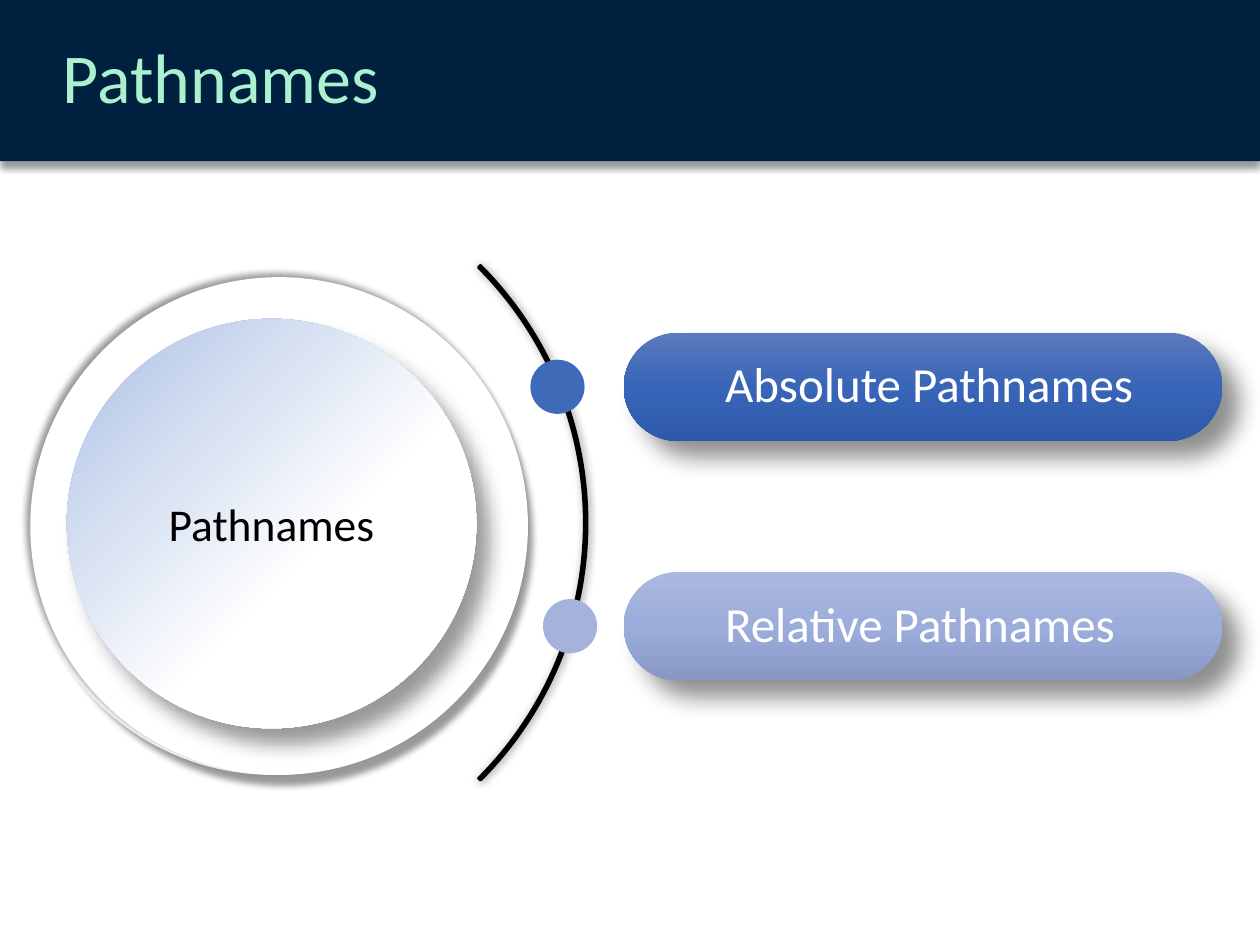
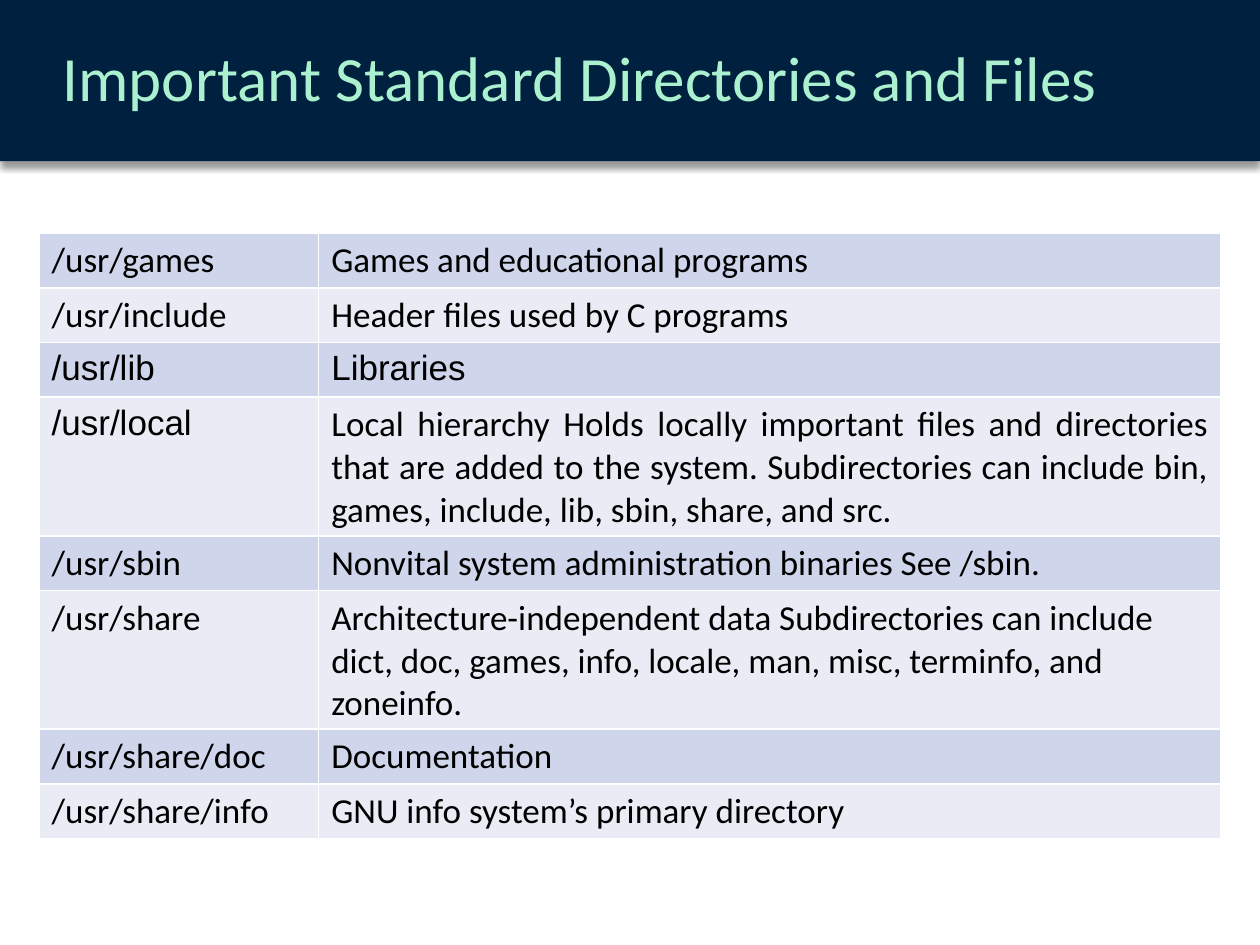
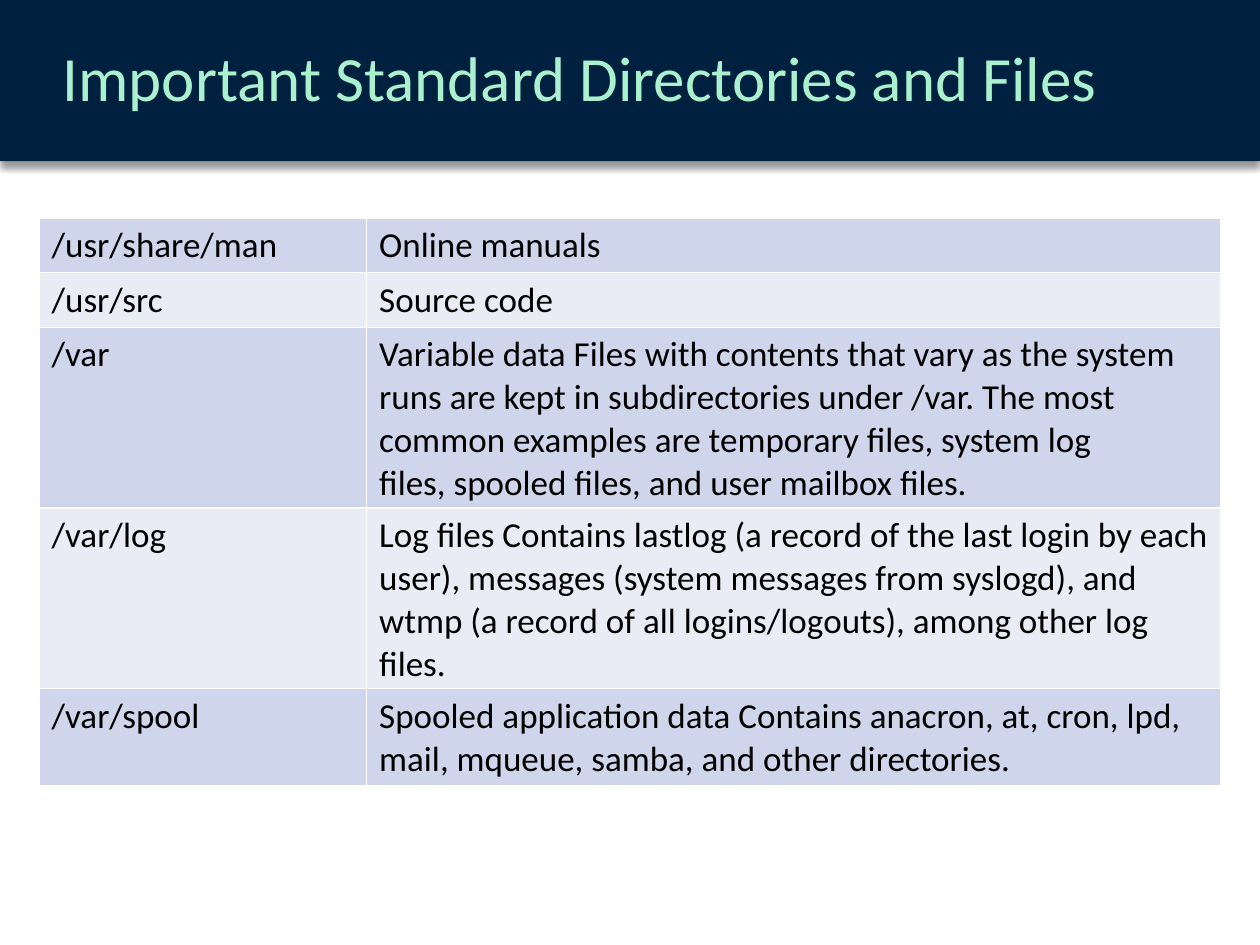
from dataclasses import dataclass
from typing import Any, Optional

import lxml.etree
import pptx
import pptx.dml.color
import pptx.enum.shapes
import pptx.enum.text
import pptx.oxml.ns
import pptx.util

SHAPES = pptx.enum.shapes.MSO_SHAPE
ALIGN = pptx.enum.text.PP_ALIGN
MIDDLE = pptx.enum.text.MSO_ANCHOR.MIDDLE

SLIDE_WIDTH = pptx.util.Inches(10)
SLIDE_HEIGHT = pptx.util.Inches(7.5)
COLUMN = SLIDE_WIDTH / 100
ROW = SLIDE_HEIGHT / 75


@dataclass(frozen=True)
class Theme:
    font: str = "Calibri"
    plain_font: str = "Arial"
    band: str = "00203F"
    title: str = "ABF1CF"
    ink: str = "000000"
    paper: str = "FFFFFF"
    arc: str = "3D1053"
    table_bands: tuple[str, str] = ("CFD5EA", "E9EBF5")
    title_size: float = 40
    long_title_size: float = 36
    topic_size: float = 28
    center_size: float = 26
    table_size: float = 20


THEME = Theme()


@dataclass(frozen=True)
class Box:
    """An area in grid columns and rows."""
    column: float
    row: float
    width: float
    height: float

    def lengths(self) -> tuple[int, int, int, int]:
        return (round(self.column * COLUMN), round(self.row * ROW),
                round(self.width * COLUMN), round(self.height * ROW))


@dataclass(frozen=True)
class Shadow:
    opacity: int
    blur: float
    distance: float
    angle: int


@dataclass(frozen=True)
class Gradient:
    stops: tuple[tuple[int, str], ...]
    angle: int


@dataclass(frozen=True)
class Topic:
    label: str
    dot_column: float
    dot_color: str
    gradient: Gradient


@dataclass(frozen=True)
class Entry:
    directory: str
    description: str
    lines: int = 1
    directory_font: str = THEME.font
    description_font: str = THEME.font
    description_alignment: Optional[Any] = None


@dataclass(frozen=True)
class Listing:
    top: float
    widths: tuple[float, float]
    alignment: Any
    entries: tuple[Entry, ...]


BAND = Box(0, 0, 100, 12.8)
TITLE = Box(4, 0, 96, 12.8)
BAND_SHADOW = Shadow(40, 4, 3, 90)
PILL_SHADOW = Shadow(43, 13, 13, 45)

ARC = Box(-11.2, 12.6, 57.8, 57.8)
RINGS = (
    (Box(1.9, 22, 39.5, 39.5), Shadow(40, 4, 9, 45)),
    (Box(2.4, 22, 39.5, 39.5), Shadow(40, 4, 3, 225)),
)
CENTER = Box(5.3, 25.3, 32.5, 32.5)
CENTER_GRADIENT = Gradient(((0, "ABC0E4"), (60, "FFFFFF")), 45)
FIRST_PILL_ROW, PILL_STEP, PILL_HEIGHT, DOT_SIZE = 26.4, 19, 8.6, 4.3
TOPICS = (
    Topic("Absolute Pathnames", 42.1, "3F6AB8",
          Gradient(((0, "5C79BD"), (50, "3865B8"), (100, "2D59A8")), 90)),
    Topic("Relative Pathnames", 43.1, "A5B3DC",
          Gradient(((0, "ABB8DD"), (50, "9CADDB"), (100, "8798C6")), 90)),
)

TABLE_LEFT, ROW_HEIGHT, LINE_HEIGHT = 3.1, 4.1, 3.4
LISTINGS = (
    Listing(18.5, (22.2, 71.6), ALIGN.JUSTIFY, (
        Entry("/usr/games", "Games and educational programs"),
        Entry("/usr/include", "Header files used by C programs"),
        Entry("/usr/lib", "Libraries",
              directory_font=THEME.plain_font, description_font=THEME.plain_font),
        Entry("/usr/local",
              "Local hierarchy Holds locally important files and directories that are "
              "added to the system. Subdirectories can include bin, games, include, "
              "lib, sbin, share, and src.", 3, directory_font=THEME.plain_font),
        Entry("/usr/sbin", "Nonvital system administration binaries See /sbin."),
        Entry("/usr/share",
              "Architecture-independent data Subdirectories can include dict, doc, "
              "games, info, locale, man, misc, terminfo, and zoneinfo.", 3,
              description_alignment=ALIGN.LEFT),
        Entry("/usr/share/doc", "Documentation"),
        Entry("/usr/share/info", "GNU info system’s primary directory"),
    )),
    Listing(17.3, (26, 67.8), ALIGN.LEFT, (
        Entry("/usr/share/man", "Online manuals"),
        Entry("/usr/src", "Source code"),
        Entry("/var",
              "Variable data Files with contents that vary as the system runs are kept "
              "in subdirectories under /var. The most common examples are temporary "
              "files, system log\nfiles, spooled files, and user mailbox files.", 4),
        Entry("/var/log",
              "Log files Contains lastlog (a record of the last login by each user), "
              "messages (system messages from syslogd), and wtmp (a record of all "
              "logins/logouts), among other log\nfiles.", 4),
        Entry("/var/spool",
              "Spooled application data Contains anacron, at, cron, lpd, mail, mqueue, "
              "samba, and other directories.", 2),
    )),
)


def rgb(color: str) -> pptx.dml.color.RGBColor:
    return pptx.dml.color.RGBColor.from_string(color)


def apply_format(target: Any, values: dict[str, Any]) -> None:
    for name, value in values.items():
        setattr(target, name, value)


def add_element(parent: Any, tag: str, **attributes: Any) -> Any:
    return lxml.etree.SubElement(
        parent, pptx.oxml.ns.qn(f"a:{tag}"),
        {name: str(value) for name, value in attributes.items()})


def fill_gradient(shape: Any, gradient: Gradient) -> None:
    shape.fill.gradient()
    shape.fill.gradient_angle = -gradient.angle % 360
    stop_list = shape.element.spPr.find(".//" + pptx.oxml.ns.qn("a:gsLst"))
    for stop in list(stop_list):
        stop_list.remove(stop)
    for position, color in gradient.stops:
        stop = add_element(stop_list, "gs", pos=position * 1000)
        add_element(stop, "srgbClr", val=color)


def cast_shadow(shape: Any, shadow: Shadow) -> None:
    effects = shape.element.spPr.find(pptx.oxml.ns.qn("a:effectLst"))
    outer = add_element(effects, "outerShdw", blurRad=pptx.util.Pt(shadow.blur),
                        dist=pptx.util.Pt(shadow.distance),
                        dir=shadow.angle * 60000, algn="ctr", rotWithShape=0)
    color = add_element(outer, "srgbClr", val=THEME.ink)
    add_element(color, "alpha", val=shadow.opacity * 1000)


def add_figure(slide: Any, kind: Any, box: Box, fill: str | Gradient,
               shadow: Optional[Shadow] = None) -> Any:
    shape = slide.shapes.add_shape(kind, *box.lengths())
    shape.shadow.inherit = False
    shape.line.fill.background()
    if isinstance(fill, Gradient):
        fill_gradient(shape, fill)
    else:
        shape.fill.solid()
        shape.fill.fore_color.rgb = rgb(fill)
    if shadow:
        cast_shadow(shape, shadow)
    return shape


def write_text(frame: Any, text: str, size: float, color: str, font: str = THEME.font,
               alignment: Any = ALIGN.LEFT, line_spacing: Optional[float] = None) -> None:
    frame.text = text
    for paragraph in frame.paragraphs:
        apply_format(paragraph, {"alignment": alignment, "line_spacing": line_spacing})
        apply_format(paragraph.font, {"name": font, "size": pptx.util.Pt(size)})
        paragraph.font.color.rgb = rgb(color)


def add_titled_slide(presentation: Any, title: str, size: float) -> Any:
    slide = presentation.slides.add_slide(presentation.slide_layouts[6])
    add_figure(slide, SHAPES.RECTANGLE, BAND, THEME.band, BAND_SHADOW)
    frame = slide.shapes.add_textbox(*TITLE.lengths()).text_frame
    apply_format(frame, {"word_wrap": True, "vertical_anchor": MIDDLE})
    write_text(frame, title, size, THEME.title, line_spacing=0.9)
    return slide


def add_topic(slide: Any, topic: Topic, row: float) -> None:
    """Draw a pill with its label, and the dot on the arc beside it."""
    pill = add_figure(slide, SHAPES.ROUNDED_RECTANGLE,
                      Box(49.5, row, 47.5, PILL_HEIGHT), topic.gradient, PILL_SHADOW)
    pill.adjustments[0] = 0.5
    margin = round(0.8 * COLUMN)
    apply_format(pill.text_frame, {
        "margin_left": round(6.8 * COLUMN), "margin_right": margin,
        "margin_top": margin, "margin_bottom": margin,
        "vertical_anchor": MIDDLE, "word_wrap": True})
    write_text(pill.text_frame, topic.label, THEME.topic_size, THEME.paper,
               line_spacing=0.9)
    dot_row = row + (PILL_HEIGHT - DOT_SIZE) / 2
    add_figure(slide, SHAPES.OVAL, Box(topic.dot_column, dot_row, DOT_SIZE, DOT_SIZE),
               topic.dot_color)


def add_pathnames_diagram(slide: Any) -> None:
    arc = add_figure(slide, SHAPES.BLOCK_ARC, ARC, THEME.arc, Shadow(40, 5, 0, 0))
    for index, value in enumerate((189, 27, 0.004)):
        arc.adjustments[index] = value
    arc.line.color.rgb = rgb(THEME.ink)
    arc.line.width = pptx.util.Pt(1.5)
    for index, topic in enumerate(TOPICS):
        add_topic(slide, topic, FIRST_PILL_ROW + index * PILL_STEP)
    for box, shadow in RINGS:
        add_figure(slide, SHAPES.FLOWCHART_CONNECTOR, box, THEME.paper, shadow)
    center = add_figure(slide, SHAPES.FLOWCHART_CONNECTOR, CENTER, CENTER_GRADIENT,
                        Shadow(40, 11, 12, 50))
    center.text_frame.vertical_anchor = MIDDLE
    write_text(center.text_frame, "Pathnames", THEME.center_size, THEME.ink,
               alignment=ALIGN.CENTER)


def style_cell(cell: Any, fill: str) -> None:
    properties = cell._tc.get_or_add_tcPr()
    for side in ("lnL", "lnR", "lnT", "lnB"):
        border = add_element(properties, side, w=pptx.util.Pt(1))
        add_element(add_element(border, "solidFill"), "srgbClr", val=THEME.paper)
    cell.fill.solid()
    cell.fill.fore_color.rgb = rgb(fill)


def add_listing(slide: Any, listing: Listing) -> None:
    heights = [ROW_HEIGHT + LINE_HEIGHT * (entry.lines - 1) for entry in listing.entries]
    box = Box(TABLE_LEFT, listing.top, sum(listing.widths), sum(heights))
    table = slide.shapes.add_table(len(heights), 2, *box.lengths()).table
    apply_format(table, {"first_row": False, "horz_banding": False})
    for column, width in zip(table.columns, listing.widths):
        column.width = round(width * COLUMN)
    for index, (entry, height) in enumerate(zip(listing.entries, heights)):
        table.rows[index].height = round(height * ROW)
        contents = (
            (entry.directory, entry.directory_font, listing.alignment),
            (entry.description, entry.description_font,
             entry.description_alignment or listing.alignment),
        )
        for cell, (text, font, alignment) in zip(table.rows[index].cells, contents):
            style_cell(cell, THEME.table_bands[index % 2])
            write_text(cell.text_frame, text, THEME.table_size, THEME.ink, font, alignment)


def main() -> None:
    presentation = pptx.Presentation()
    apply_format(presentation, {"slide_width": SLIDE_WIDTH, "slide_height": SLIDE_HEIGHT})
    add_pathnames_diagram(add_titled_slide(presentation, "Pathnames", THEME.title_size))
    for listing in LISTINGS:
        slide = add_titled_slide(presentation, "Important Standard Directories and Files",
                                 THEME.long_title_size)
        add_listing(slide, listing)
    presentation.save("out.pptx")


if __name__ == "__main__":
    main()
